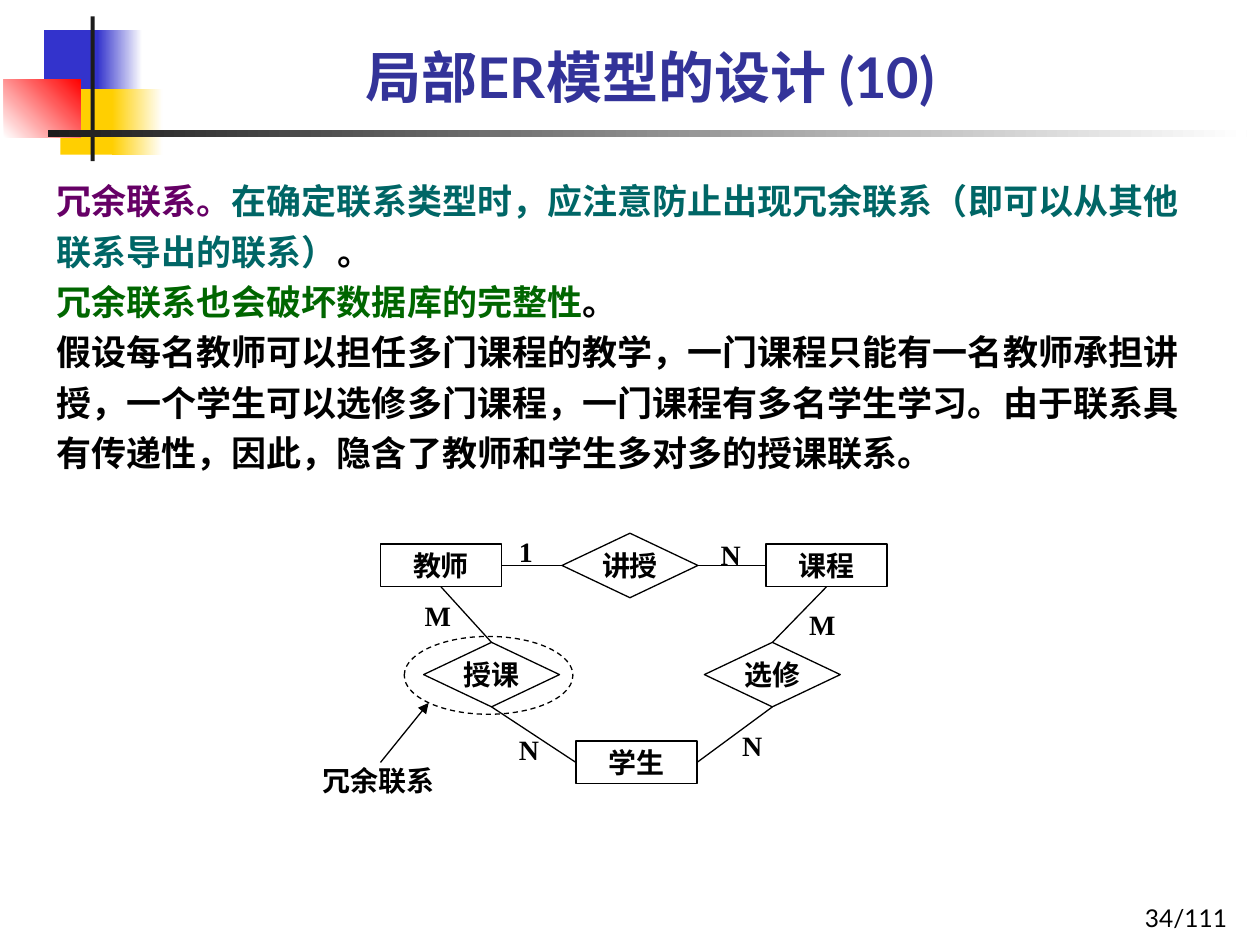
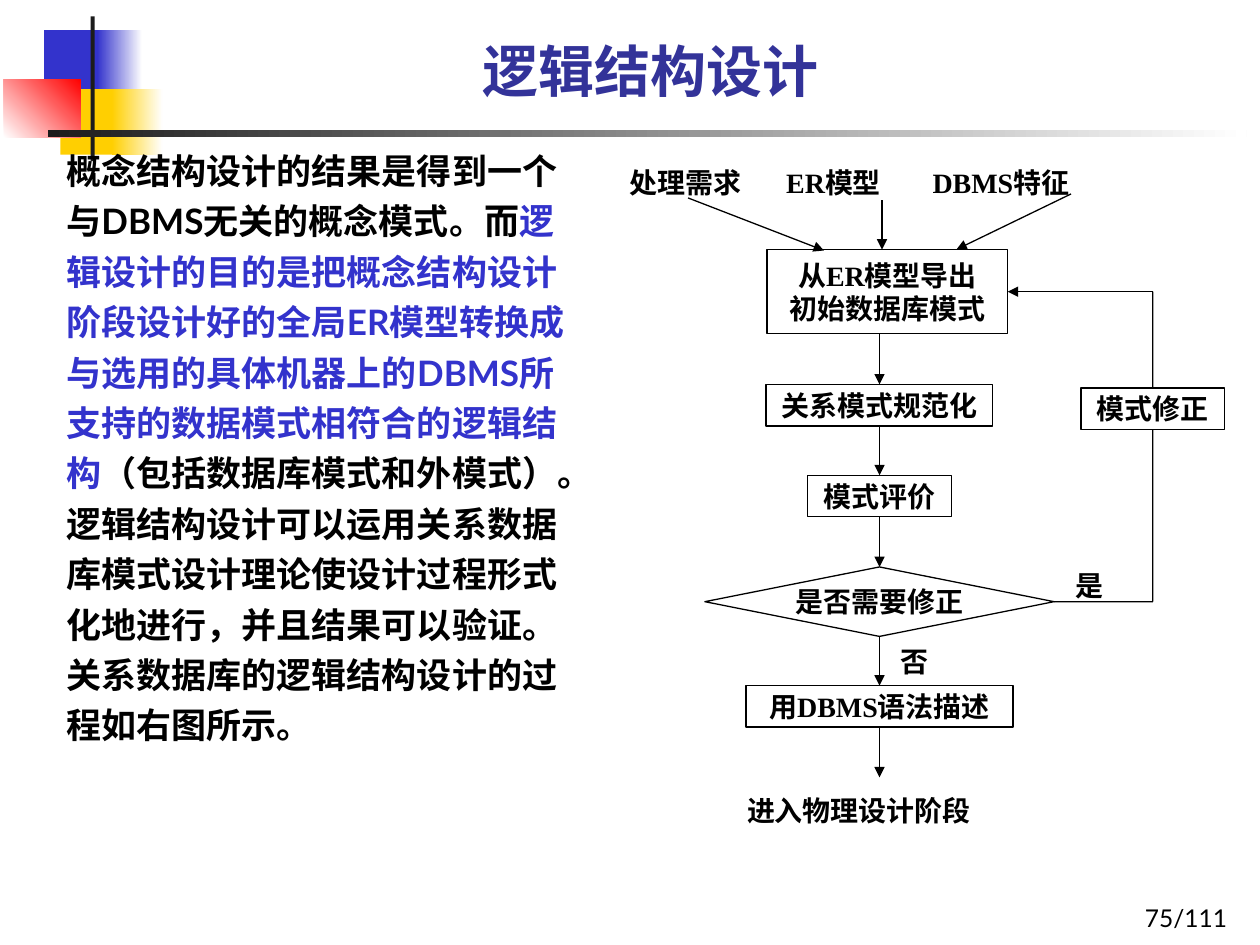
from lxml import etree
from pptx import Presentation
from pptx import util as u
from pptx.dml import color
from pptx.enum import dml, shapes, text
from pptx.oxml import ns

BLACK, WHITE, BLUE, YELLOW = "000000", "FFFFFF", "3333CC", "FFCF01"
DARK, TITLE_BLUE = "1C1C1C", "333399"
PURPLE, TEAL, GREEN = "660066", "006666", "006600"
LATIN, SERIF = "Lato", "Times New Roman"
RECT = shapes.MSO_SHAPE.RECTANGLE
DIAMOND = shapes.MSO_SHAPE.DIAMOND
TOP, LEFT, BOTTOM, RIGHT = range(4)

# left, top, width, height in cm, colours (two make a gradient), angle
ORNAMENTS = [
    (0.89, 0.61, 1.22, 1.32, [BLUE], 0),
    (1.96, 0.61, 0.91, 1.32, [BLUE, WHITE], 0),
    (1.22, 1.8, 1.17, 1.32, [YELLOW], 0),
    (2.26, 1.8, 1.02, 1.32, [YELLOW, WHITE], 0),
    (0.08, 1.6, 1.55, 1.17, [WHITE, "FF0000"], 45),
    (1.83, 0.33, 0.08, 2.92, [DARK], 0),
    (0.97, 2.62, 24.16, 0.15, [DARK, WHITE], 0),
]


def rgb(value):
    return color.RGBColor.from_string(value)


def cm(*lengths):
    return [u.Cm(length) for length in lengths]


def style_span(span, size, font, shade=BLACK, bold=True):
    span.font.size = u.Pt(size)
    span.font.name = font
    span.font.bold = bold
    span.font.color.rgb = rgb(shade)


def set_frame(frame, anchor, inset=True):
    frame.word_wrap = True
    frame.vertical_anchor = anchor
    if not inset:
        frame.margin_left = frame.margin_right = 0
        frame.margin_top = frame.margin_bottom = 0


def add_line_of_text(page, area, words, size, font, align, anchor,
                     shade=BLACK, bold=True, inset=True):
    box = page.shapes.add_textbox(*cm(*area))
    set_frame(box.text_frame, anchor, inset)
    box.text_frame.text = words
    para = box.text_frame.paragraphs[0]
    para.alignment = align
    style_span(para.runs[0], size, font, shade, bold)


def add_ornament(page, left, top, width, height, shades, angle):
    block = page.shapes.add_shape(RECT, *cm(left, top, width, height))
    block.shadow.inherit = False
    block.line.fill.background()
    if len(shades) == 1:
        block.fill.solid()
        block.fill.fore_color.rgb = rgb(shades[0])
        return
    block.fill.gradient()
    block.fill.gradient_angle = angle
    for stop, shade in zip(block.fill.gradient_stops, shades):
        stop.color.rgb = rgb(shade)


def start_page(deck, title, number, title_top):
    """Add a page with the shared ornaments, title and page number."""
    page = deck.slides.add_slide(deck.slide_layouts[6])
    for ornament in ORNAMENTS:
        add_ornament(page, *ornament)
    add_line_of_text(page, (19.71, 17.65, 5.28, 1.27), number, 14, LATIN,
                     text.PP_ALIGN.RIGHT, text.MSO_ANCHOR.BOTTOM, bold=False)
    add_line_of_text(page, (2.29, title_top, 21.64, 2.21), title, 32, LATIN,
                     text.PP_ALIGN.CENTER, text.MSO_ANCHOR.BOTTOM, TITLE_BLUE)
    return page


def add_body(page, area, paragraphs):
    """Each paragraph is a list of (words, colour)."""
    box = page.shapes.add_textbox(*cm(*area))
    frame = box.text_frame
    set_frame(frame, text.MSO_ANCHOR.TOP)
    for index, pieces in enumerate(paragraphs):
        para = frame.add_paragraph() if index else frame.paragraphs[0]
        para.line_spacing = 1.2
        for words, shade in pieces:
            span = para.add_run()
            span.text = words
            style_span(span, 20, LATIN, shade)


def add_label(page, words, left, top, width=0.6):
    add_line_of_text(page, (left, top, width, 0.79), words, 16, SERIF,
                     text.PP_ALIGN.LEFT, text.MSO_ANCHOR.MIDDLE, inset=False)


def outline(shape):
    shape.shadow.inherit = False
    shape.line.color.rgb = rgb(BLACK)
    shape.line.width = u.Pt(0.75)


def add_node(page, kind, words, center_x, center_y, width, height):
    node = page.shapes.add_shape(kind, *cm(
        center_x - width / 2, center_y - height / 2, width, height))
    outline(node)
    node.fill.solid()
    node.fill.fore_color.rgb = rgb(WHITE)
    set_frame(node.text_frame, text.MSO_ANCHOR.MIDDLE, inset=False)
    node.text_frame.text = words
    for para in node.text_frame.paragraphs:
        para.alignment = text.PP_ALIGN.CENTER
        style_span(para.runs[0], 16, SERIF)
    return node


def connect(page, start, end, arrow=False):
    """Draw a line; an end is either (x, y) in cm or (node, side)."""
    line = page.shapes.add_connector(shapes.MSO_CONNECTOR.STRAIGHT, 0, 0, 0, 0)
    if isinstance(start[0], (int, float)):
        line.begin_x, line.begin_y = cm(*start)
    else:
        line.begin_connect(*start)
    if isinstance(end[0], (int, float)):
        line.end_x, line.end_y = cm(*end)
    else:
        line.end_connect(*end)
    line.line.color.rgb = rgb(BLACK)
    line.line.width = u.Pt(0.75)
    properties = line._element.spPr
    if arrow:
        stroke = properties.find(ns.qn("a:ln"))
        etree.SubElement(stroke, ns.qn("a:tailEnd"), type="triangle")
    etree.SubElement(properties, ns.qn("a:effectLst"))


def build_er_page(deck):
    page = start_page(deck, "局部ER模型的设计 (10)", "34/111", 0.13)
    add_body(page, (0.89, 3.33, 23.6, 8.2), [
        [("冗余联系。", PURPLE),
         ("在确定联系类型时，应注意防止出现冗余联系（即可以从其他联系导出的联系）", TEAL),
         ("。", BLACK)],
        [("冗余联系也会破坏数据库的完整性", GREEN), ("。", BLACK)],
        [("假设每名教师可以担任多门课程的教学，一门课程只能有一名教师承担讲授，"
          "一个学生可以选修多门课程，一门课程有多名学生学习。由于联系具有传递性，"
          "因此，隐含了教师和学生多对多的授课联系。", BLACK)],
    ])

    teacher, course, student = [
        add_node(page, RECT, name, x, y, 2.44, 0.86) for name, x, y in
        [("教师", 8.89, 11.4), ("课程", 16.66, 11.4), ("学生", 12.83, 15.37)]]
    teaches, lectures, elects = [
        add_node(page, DIAMOND, name, x, y, 2.74, 1.3) for name, x, y in
        [("讲授", 12.7, 11.4), ("授课", 9.91, 13.6), ("选修", 15.57, 13.6)]]
    for start, end in [
        ((teacher, RIGHT), (teaches, LEFT)),
        ((teaches, RIGHT), (course, LEFT)),
        ((teacher, BOTTOM), (lectures, TOP)),
        ((lectures, BOTTOM), (student, LEFT)),
        ((course, BOTTOM), (elects, TOP)),
        ((elects, BOTTOM), (student, RIGHT)),
    ]:
        connect(page, start, end)

    redundant = page.shapes.add_shape(shapes.MSO_SHAPE.OVAL,
                                      *cm(8.15, 12.83, 3.4, 1.57))
    outline(redundant)
    redundant.fill.background()
    redundant.line.dash_style = dml.MSO_LINE.DASH
    connect(page, (7.67, 15.37), (8.64, 14.17), arrow=True)
    add_label(page, "冗余联系", 6.5, 15.34, 2.44)
    for words, left, top in [
        ("1", 10.46, 10.72), ("N", 14.53, 10.77), ("M", 8.56, 12.01),
        ("M", 16.31, 12.19), ("N", 10.46, 14.71), ("N", 14.96, 14.63),
    ]:
        add_label(page, words, left, top)


def build_logic_page(deck):
    page = start_page(deck, "逻辑结构设计", "75/111", 0)
    add_body(page, (1.09, 2.72, 10.59, 13.79), [
        [("概念结构设计的结果是得到一个与DBMS无关的概念模式。而", BLACK),
         ("逻辑设计的目的是把概念结构设计阶段设计好的全局ER模型转换成"
          "与选用的具体机器上的DBMS所支持的数据模式相符合的逻辑结构", BLUE),
         ("（包括数据库模式和外模式）。", BLACK)],
        [("逻辑结构设计可以运用关系数据库模式设计理论使设计过程形式化地进行，"
          "并且结果可以验证。关系数据库的逻辑结构设计的过程如右图所示。", BLACK)],
    ])

    flow_x, loop_x, loop_y = 17.73, 23.24, 12.13
    derive = add_node(page, RECT, "从ER模型导出\n初始数据库模式",
                      17.89, 5.88, 4.85, 1.7)
    normalise = add_node(page, RECT, "关系模式规范化", flow_x, 8.17, 4.57, 0.84)
    evaluate = add_node(page, RECT, "模式评价", flow_x, 10, 2.9, 0.84)
    decide = add_node(page, DIAMOND, "是否需要修正", flow_x, loop_y, 7.04, 1.4)
    describe = add_node(page, RECT, "用DBMS语法描述", flow_x, 14.24, 5.38, 0.84)
    correct = add_node(page, RECT, "模式修正", loop_x, 8.24, 2.9, 0.84)

    for words, left, width, start, end in [
        ("处理需求", 12.7, 2.6, (13.87, 3.99), (16.61, 5.05)),
        ("ER模型", 15.85, 2.4, (17.78, 4.04), (17.78, 5.03)),
        ("DBMS特征", 18.8, 3.4, (21.59, 3.91), (19.28, 5.03)),
    ]:
        add_label(page, words, left, 3.29, width)
        connect(page, start, end, arrow=True)

    connect(page, (flow_x, 6.73), (normalise, TOP), arrow=True)
    steps = [normalise, evaluate, decide, describe]
    for step, following in zip(steps, steps[1:]):
        connect(page, (step, BOTTOM), (following, TOP), arrow=True)
    connect(page, (describe, BOTTOM), (flow_x, 15.67), arrow=True)

    connect(page, (decide, RIGHT), (loop_x, loop_y))
    connect(page, (loop_x, loop_y), (correct, BOTTOM))
    connect(page, (correct, TOP), (loop_x, 5.88))
    connect(page, (loop_x, 5.88), (derive, RIGHT), arrow=True)
    add_label(page, "是", 21.69, 11.4)
    add_label(page, "否", 18.16, 12.93)
    add_label(page, "进入物理设计阶段", 15.06, 15.95, 5.23)


def main():
    deck = Presentation()
    deck.slide_width, deck.slide_height = cm(25.4, 19.05)
    build_er_page(deck)
    build_logic_page(deck)
    deck.save("out.pptx")


if __name__ == "__main__":
    main()
